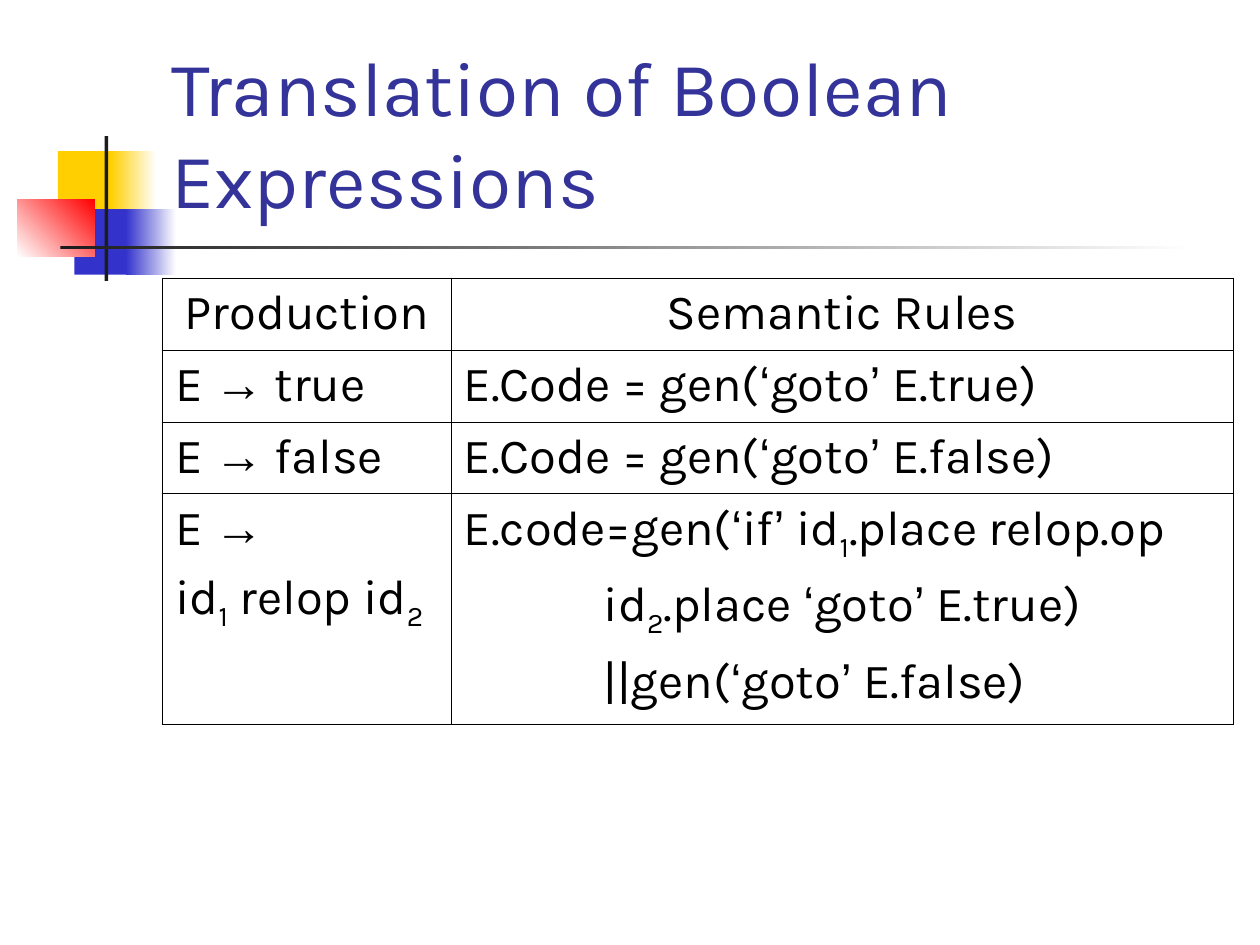
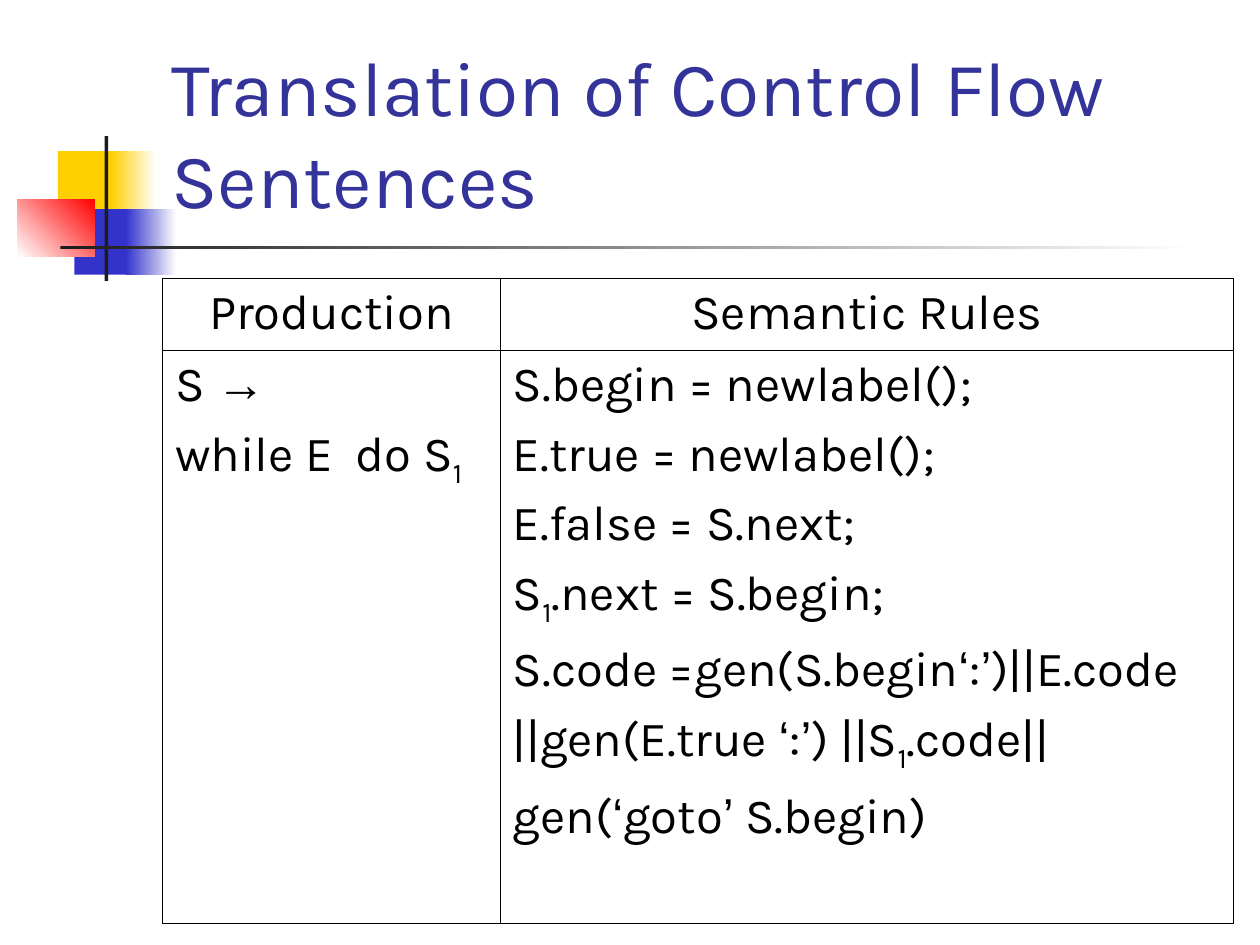
import itertools

import lxml.etree
import pptx
import pptx.dml.color
import pptx.enum.shapes
import pptx.enum.text
import pptx.oxml.ns
import pptx.util

Inches, Pt = pptx.util.Inches, pptx.util.Pt
RGB = pptx.dml.color.RGBColor
ALIGN = pptx.enum.text.PP_ALIGN
qn = pptx.oxml.ns.qn

# In cell text "_" makes the next digit a subscript; "\t" indents the line.
SLIDES = [
    {
        "title": "Translation of Boolean Expressions",
        "cols": [2.29, 6.21],
        "heights": [0.57, 0.57, 0.57, 1.83],
        "rows": [
            (["Production"], ["Semantic Rules"]),
            (["E → true"], ["E.Code = gen(‘goto’ E.true)"]),
            (["E → false"], ["E.Code = gen(‘goto’ E.false)"]),
            (
                ["E →", "id_1 relop id_2"],
                [
                    "E.code=gen(‘if’ id_1.place relop.op",
                    "\tid_2.place ‘goto’ E.true)",
                    "\t||gen(‘goto’ E.false)",
                ],
            ),
        ],
    },
    {
        "title": "Translation of Control Flow Sentences",
        "cols": [2.68, 5.82],
        "heights": [0.57, 4.55],
        "rows": [
            (["Production"], ["Semantic Rules"]),
            (
                ["S →", "while E  do S_1"],
                [
                    "S.begin = newlabel();",
                    "E.true = newlabel();",
                    "E.false = S.next;",
                    "S_1.next = S.begin;",
                    "S.code =gen(S.begin‘:’)||E.code",
                    "||gen(E.true ‘:’) ||S_1.code||",
                    "gen(‘goto’ S.begin)",
                ],
            ),
        ],
    },
]

WHITE = RGB(0xFF, 0xFF, 0xFF)
BLACK = RGB(0, 0, 0)
GOLD = RGB(0xFF, 0xCF, 0x01)
BLUE = RGB(0x33, 0x33, 0xCC)
RED = RGB(0xFF, 0, 0)
INK = RGB(0x1C, 0x1C, 0x1C)
NAVY = RGB(0x33, 0x33, 0x99)

# Place, fill colours (two make a gradient), gradient angle
DECOR = [
    ((0.46, 1.2, 0.48, 0.52), [GOLD], 0),
    ((0.88, 1.2, 0.36, 0.52), [GOLD, WHITE], 0),
    ((0.59, 1.66, 0.46, 0.52), [BLUE], 0),
    ((1, 1.66, 0.4, 0.52), [BLUE, WHITE], 0),
    ((0.14, 1.58, 0.61, 0.46), [WHITE, RED], 45),
    ((0.83, 1.08, 0.03, 1.15), [INK], 0),
    ((0.48, 1.95, 9, 0.03), [INK, WHITE], 0),
]
TITLE_BOX = (1.26, 0.23, 8.52, 1.6)
TABLE_AT = (1.29, 2.21)
TITLE_FONT = {"name": "Karla", "size": Pt(44)}
CELL_FONT = {"name": "Karla", "size": Pt(28)}
SYMBOLS = "→‘’"
INDENT = Inches(1.11)
OUTER, INNER = Pt(1.08), Pt(0.45)


def style(font, form, color):
    for name, value in form.items():
        setattr(font, name, value)
    font.color.rgb = color


def draw_decor(slide):
    for place, colors, angle in DECOR:
        shape = slide.shapes.add_shape(
            pptx.enum.shapes.MSO_SHAPE.RECTANGLE, *map(Inches, place)
        )
        shape.shadow.inherit = False
        shape.line.fill.background()
        if len(colors) == 1:
            shape.fill.solid()
            shape.fill.fore_color.rgb = colors[0]
        else:
            shape.fill.gradient()
            shape.fill.gradient_angle = angle
            for stop, color in zip(shape.fill.gradient_stops, colors):
                stop.color.rgb = color


def add_title(slide, text):
    frame = slide.shapes.add_textbox(*map(Inches, TITLE_BOX)).text_frame
    frame.word_wrap = True
    frame.vertical_anchor = pptx.enum.text.MSO_ANCHOR.BOTTOM
    run = frame.paragraphs[0].add_run()
    run.text = text
    style(run.font, TITLE_FONT, NAVY)


def add_run(para, text, sub=False):
    run = para.add_run()
    run.text = text
    style(run.font, CELL_FONT, BLACK)
    if text[0] in SYMBOLS:
        run.font.name = "Arial"
    if sub:
        run.font._element.set("baseline", "-25000")


def write_line(para, line):
    """Split a line into plain, symbol and subscript runs."""
    if line.startswith("\t"):
        para._p.get_or_add_pPr().set("marL", str(INDENT))
    for i, part in enumerate(line.strip().split("_")):
        if i:
            add_run(para, part[0], sub=True)
            part = part[1:]
        for _, chars in itertools.groupby(part, lambda c: c in SYMBOLS):
            add_run(para, "".join(chars))


def set_edges(cell, edges):
    props = cell._tc.get_or_add_tcPr()
    for side, width in edges.items():
        line = lxml.etree.SubElement(props, qn("a:ln" + side), w=str(width))
        fill = lxml.etree.SubElement(line, qn("a:solidFill"))
        lxml.etree.SubElement(fill, qn("a:srgbClr"), val=str(BLACK))


def fill_cell(cell, lines, align):
    frame = cell.text_frame
    for i, line in enumerate(lines):
        para = frame.add_paragraph() if i else frame.paragraphs[0]
        para.alignment = align
        if i:
            para.space_before = Pt(7)
        write_line(para, line)


def add_grid(slide, cols, heights, rows):
    size = (sum(cols), sum(heights))
    table = slide.shapes.add_table(
        len(rows), len(cols), *map(Inches, TABLE_AT + size)
    ).table
    table.first_row = table.horz_banding = False
    for col, width in zip(table.columns, cols):
        col.width = Inches(width)
    for row, height in zip(table.rows, heights):
        row.height = Inches(height)
    for r, c in itertools.product(range(len(rows)), range(len(cols))):
        cell = table.cell(r, c)
        ends = {
            "L": c == 0,
            "R": c == len(cols) - 1,
            "T": r == 0,
            "B": r == len(rows) - 1,
        }
        set_edges(cell, {s: OUTER if end else INNER for s, end in ends.items()})
        cell.fill.background()
        fill_cell(cell, rows[r][c], ALIGN.LEFT if r else ALIGN.CENTER)


def main():
    deck = pptx.Presentation()
    deck.slide_width, deck.slide_height = Inches(10), Inches(7.5)
    for page in SLIDES:
        slide = deck.slides.add_slide(deck.slide_layouts[6])
        draw_decor(slide)
        add_title(slide, page["title"])
        add_grid(slide, page["cols"], page["heights"], page["rows"])
    deck.save("out.pptx")


if __name__ == "__main__":
    main()
